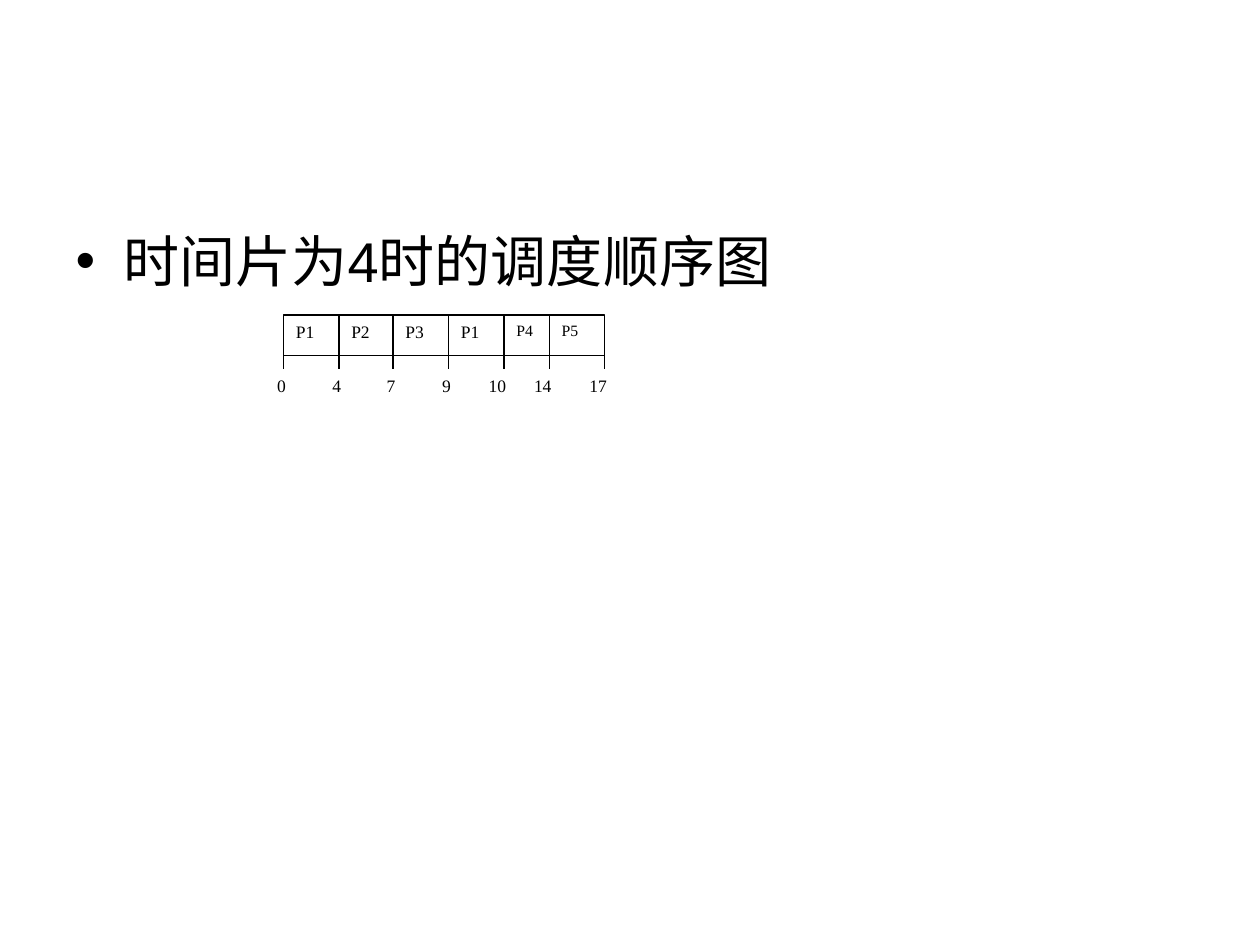
from dataclasses import dataclass

from lxml import etree
from pptx import Presentation
from pptx.dml.color import RGBColor
from pptx.enum.shapes import MSO_CONNECTOR, MSO_SHAPE
from pptx.enum.text import MSO_ANCHOR, PP_ALIGN
from pptx.oxml.ns import qn
from pptx.util import Inches, Pt

RECT = MSO_SHAPE.RECTANGLE
STRAIGHT = MSO_CONNECTOR.STRAIGHT
TOP = MSO_ANCHOR.TOP
JUSTIFY = PP_ALIGN.JUSTIFY


@dataclass(frozen=True)
class Theme:
    ink: RGBColor = RGBColor(0, 0, 0)
    paper: RGBColor = RGBColor(255, 255, 255)
    body_font: str = "Arial"
    chart_font: str = "Times New Roman"
    body_size: int = 32
    label_size: int = 10
    small_size: int = 9
    line_width: float = 0.75


theme = Theme()


def add_box(shapes, x, y, w, h, text, size, outlined):
    sp = shapes.add_shape(RECT, Inches(x), Inches(y), Inches(w), Inches(h))
    sp.shadow.inherit = False
    sp.fill.solid()
    sp.fill.fore_color.rgb = theme.paper
    if outlined:
        sp.line.color.rgb = theme.ink
        sp.line.width = Pt(theme.line_width)
    else:
        sp.line.fill.background()
    tf = sp.text_frame
    tf.word_wrap = True
    tf.vertical_anchor = TOP
    tf.text = text
    p = tf.paragraphs[0]
    p.alignment = JUSTIFY
    font = p.runs[0].font
    font.name = theme.chart_font
    font.size = Pt(size)
    font.color.rgb = theme.ink


prs = Presentation()
prs.slide_width, prs.slide_height = Inches(10), Inches(7.5)
s = prs.slides.add_slide(prs.slide_layouts[1])
title = s.shapes.title.element
title.getparent().remove(title)

# Bulleted heading
body = s.placeholders[1]
body.left, body.top = Inches(0.5), Inches(1.75)
body.width, body.height = Inches(9), Inches(4.95)
tf = body.text_frame
tf.text = "时间片为4时的调度顺序图"
p = tf.paragraphs[0]
p.space_before = Pt(0)
pPr = p._p.get_or_add_pPr()
pPr.set("marL", str(Inches(0.38)))
pPr.set("indent", str(-Inches(0.38)))
etree.SubElement(pPr, qn("a:buFont"), typeface=theme.body_font)
etree.SubElement(pPr, qn("a:buChar"), char="•")
font = p.runs[0].font
font.name = theme.body_font
font.size = Pt(theme.body_size)
font.color.rgb = theme.ink

# Schedule: one cell per time slice, a tick and a time at each boundary
edges = [2.25, 2.69, 3.12, 3.56, 4, 4.36, 4.8]
times = [0, 4, 7, 9, 10, 14, 17]
processes = ["P1", "P2", "P3", "P1", "P4", "P5"]
cell_top, cell_height = 2.5, 0.32
tick_top, tick_bottom = cell_top + cell_height, 2.93
label_overhang = 0.14

schedule = s.shapes.add_group_shape().shapes
for process, left, right in zip(processes, edges, edges[1:]):
    size = theme.small_size if process in ("P4", "P5") else theme.label_size
    add_box(schedule, left, cell_top, right - left, cell_height, process, size, True)

for time, x in zip(times, edges):
    tick = schedule.add_connector(
        STRAIGHT, Inches(x), Inches(tick_top), Inches(x), Inches(tick_bottom))
    tick.line.color.rgb = theme.ink
    tick.line.width = Pt(theme.line_width)
    etree.SubElement(tick.element.spPr, qn("a:effectLst"))
    width = 0.29 if time < 10 else 0.36
    add_box(schedule, x + label_overhang - width, tick_bottom, width, 0.27,
            str(time), theme.label_size, False)

prs.save("out.pptx")
